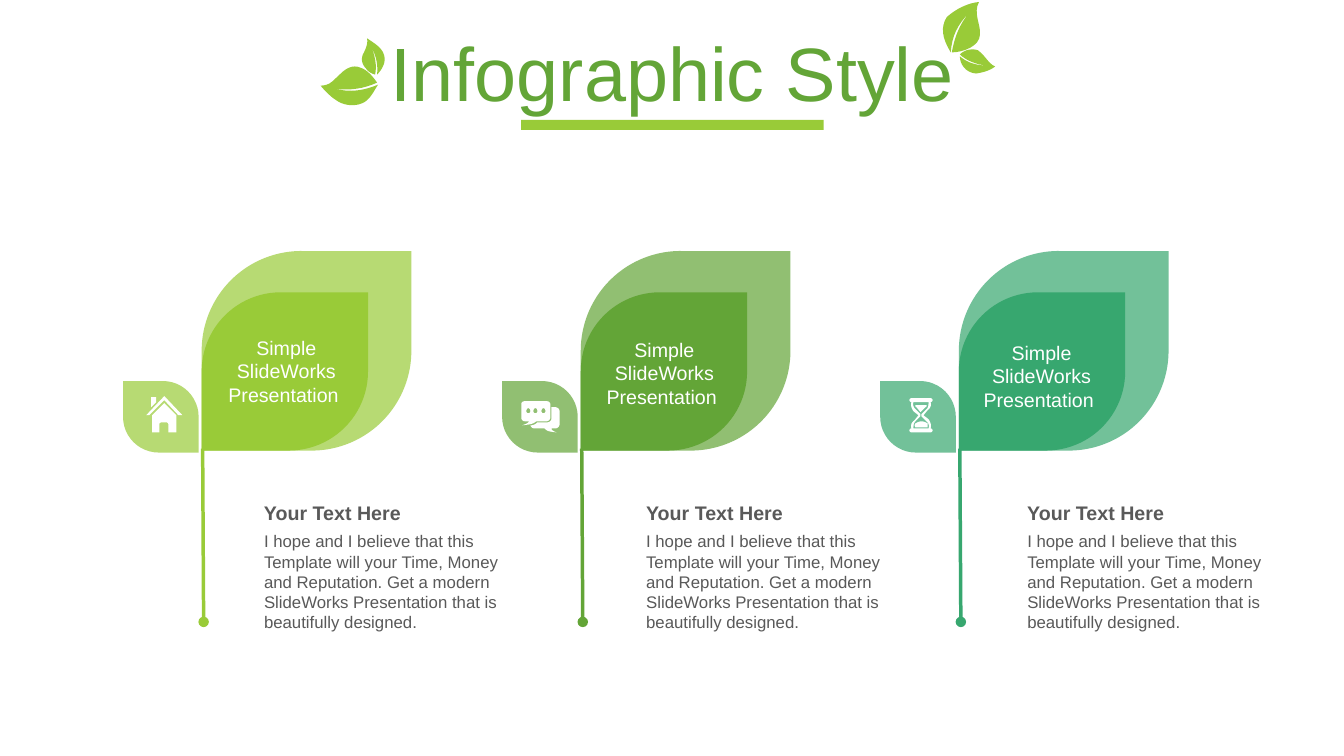
from pptx import Presentation
from pptx.dml.color import RGBColor
from pptx.enum.shapes import MSO_CONNECTOR, MSO_SHAPE
from pptx.enum.text import MSO_ANCHOR, PP_ALIGN
from pptx.oxml.ns import qn
from pptx.util import Inches, Pt
from lxml.etree import SubElement

LIME, GREEN, TEAL = "99CB38", "63A537", "37A76F"
WHITE, GREY = "FFFFFF", "595959"
FONT = "Arial"
LABEL = "Simple SlideWorks Presentation "
HEADING = "Your Text Here"
BODY = ("I hope and I believe that this Template will your Time, Money and "
        "Reputation. Get a modern SlideWorks Presentation that is beautifully designed.")

TITLE_LEAVES = [
    "9.43 .52 C 9.44 .36 9.5 .24 9.61 .13 C 9.52 .24 9.47 .36 9.44 .52 "
    "C 9.55 .52 9.72 .46 9.72 .34 C 9.73 .25 9.65 .13 9.71 .02 "
    "C 9.6 .03 9.48 .09 9.39 .17 C 9.33 .27 9.34 .37 9.43 .52",
    "9.78 .65 C 9.68 .65 9.59 .62 9.52 .56 C 9.52 .63 9.57 .72 9.68 .73 "
    "C 9.75 .72 9.82 .7 9.87 .66 C 9.8 .63 9.78 .56 9.7 .5 "
    "C 9.65 .48 9.57 .49 9.52 .54 C 9.58 .6 9.68 .64 9.78 .65",
    "3.75 .84 C 3.61 .9 3.47 .92 3.32 .88 C 3.47 .9 3.61 .88 3.74 .82 "
    "C 3.7 .76 3.64 .69 3.57 .67 C 3.5 .64 3.43 .68 3.38 .73 "
    "C 3.31 .79 3.28 .85 3.18 .85 C 3.23 .91 3.29 .97 3.36 1.01 "
    "C 3.43 1.05 3.54 1.06 3.62 1.01 C 3.68 .97 3.71 .9 3.75 .84",
    "3.68 .46 C 3.73 .55 3.75 .64 3.74 .74 C 3.79 .69 3.83 .62 3.81 .55 "
    "C 3.79 .47 3.71 .43 3.64 .38 C 3.65 .43 3.63 .48 3.61 .52 "
    "C 3.58 .57 3.58 .63 3.63 .68 C 3.65 .71 3.68 .73 3.72 .74 "
    "C 3.74 .66 3.72 .55 3.68 .46",
]

HOUSE = [
    "1.63 4 L 1.75 4.12 L 1.75 4.29 L 1.67 4.29 L 1.67 4.21 "
    "C 1.67 4.2 1.66 4.19 1.65 4.19 L 1.61 4.19 C 1.59 4.19 1.58 4.2 1.58 4.21 "
    "L 1.58 4.29 L 1.51 4.29 L 1.51 4.12",
    "1.5 3.94 L 1.55 3.94 L 1.55 3.99 L 1.5 4.04",
    "1.63 3.93 L 1.81 4.12 L 1.77 4.12 L 1.63 3.97 L 1.48 4.12 L 1.45 4.12",
]

DOTS = [
    f"{x} 4.05 C {x - .01} 4.05 {x - .02} 4.06 {x - .02} 4.08 "
    f"C {x - .02} 4.09 {x - .01} 4.1 {x} 4.1 C {x + .01} 4.1 {x + .02} 4.09 {x + .02} 4.08 "
    f"C {x + .02} 4.06 {x + .01} 4.05 {x} 4.05" for x in (5.24, 5.31, 5.39)]

CHAT = DOTS + [
    "5.47 4.04 L 5.51 4.04 C 5.53 4.04 5.55 4.06 5.55 4.08 L 5.55 4.21 "
    "C 5.55 4.23 5.53 4.25 5.51 4.25 L 5.47 4.25 C 5.47 4.26 5.47 4.27 5.52 4.29 "
    "C 5.44 4.28 5.43 4.28 5.4 4.25 L 5.3 4.25 C 5.28 4.25 5.27 4.24 5.26 4.22 "
    "C 5.29 4.22 5.31 4.21 5.33 4.19 L 5.43 4.19 C 5.45 4.19 5.47 4.17 5.47 4.15",
    "5.21 3.98 L 5.42 3.98 C 5.44 3.98 5.46 3.99 5.46 4.02 L 5.46 4.14 "
    "C 5.46 4.16 5.44 4.18 5.42 4.18 L 5.32 4.18 C 5.28 4.21 5.26 4.21 5.18 4.22 "
    "C 5.23 4.2 5.23 4.2 5.25 4.18 L 5.21 4.18 C 5.18 4.18 5.17 4.16 5.17 4.14 "
    "L 5.17 4.02 C 5.17 3.99 5.18 3.98 5.21 3.98",
]

HOURGLASS = [
    "9.14 4.18 C 9.16 4.18 9.18 4.19 9.2 4.2 C 9.2 4.21 9.2 4.23 9.2 4.24 "
    "L 9.08 4.24 C 9.07 4.23 9.07 4.21 9.08 4.2 C 9.1 4.19 9.12 4.18 9.14 4.18",
    "9.08 4.02 L 9.19 4.02 C 9.19 4.03 9.19 4.04 9.18 4.04 L 9.13 4.09 "
    "L 9.09 4.04 C 9.08 4.04 9.08 4.03 9.08 4.02",
    "9.06 3.99 C 9.05 4.01 9.06 4.04 9.08 4.06 L 9.13 4.11 L 9.13 4.13 L 9.08 4.18 "
    "C 9.06 4.2 9.06 4.23 9.06 4.25 L 9.21 4.25 C 9.22 4.22 9.21 4.2 9.19 4.18 "
    "L 9.14 4.13 L 9.14 4.11 L 9.19 4.06 C 9.21 4.04 9.21 4.01 9.21 3.99",
    "9.04 3.95 L 9.23 3.95 C 9.24 3.95 9.25 3.96 9.25 3.97 "
    "C 9.25 3.98 9.24 3.99 9.23 3.99 C 9.24 4.02 9.23 4.05 9.2 4.07 L 9.16 4.12 "
    "L 9.21 4.16 C 9.23 4.19 9.24 4.22 9.23 4.25 C 9.24 4.25 9.25 4.26 9.25 4.27 "
    "C 9.25 4.28 9.24 4.29 9.23 4.29 L 9.04 4.29 C 9.03 4.29 9.02 4.28 9.02 4.27 "
    "C 9.02 4.26 9.03 4.25 9.04 4.25 C 9.03 4.22 9.04 4.19 9.07 4.17 L 9.11 4.12 "
    "L 9.06 4.08 C 9.04 4.05 9.03 4.02 9.04 3.99 C 9.03 3.99 9.02 3.98 9.02 3.97 "
    "C 9.02 3.96 9.03 3.95 9.04 3.95",
]

PLANTS = [
    dict(x=2, color=LIME, text_x=2.52, label_x=2.1, label_y=3.28, icon=HOUSE),
    dict(x=5.76, color=GREEN, text_x=6.31, label_x=5.85, label_y=3.3, icon=CHAT),
    dict(x=9.51, color=TEAL, text_x=10.09, label_x=9.59, label_y=3.33, icon=HOURGLASS),
]


def rgb(color):
    """Turn a hex string into a colour."""
    return RGBColor.from_string(color)


def style(sp, color, alpha=None):
    """Give a shape a flat fill, without line or shadow."""
    sp.shadow.inherit = False
    sp.fill.solid()
    sp.fill.fore_color.rgb = rgb(color)
    sp.line.fill.background()
    if alpha:
        clr = sp._element.spPr.find(qn("a:solidFill")).find(qn("a:srgbClr"))
        SubElement(clr, qn("a:alpha"), val=str(alpha * 1000))


def add_box(shapes, kind, x, y, w, h, color, alpha=None, adj=()):
    """Add a filled preset shape."""
    sp = shapes.add_shape(kind, Inches(x), Inches(y), Inches(w), Inches(h))
    for i, value in enumerate(adj):
        sp.adjustments[i] = value
    style(sp, color, alpha)


def add_stem(shapes, x, color):
    """Add a stem line that ends in a dot."""
    ln = shapes.add_connector(MSO_CONNECTOR.STRAIGHT, Inches(x + 0.01), Inches(4.45),
                              Inches(x + 0.02), Inches(6.17))
    ln.line.color.rgb = rgb(color)
    ln.line.width = Pt(2.5)
    spPr = ln._element.spPr
    SubElement(spPr.find(qn("a:ln")), qn("a:tailEnd"), type="oval")
    SubElement(spPr, qn("a:effectLst"))


def contour_points(contour, steps=8):
    """Turn a contour of straight (L) and curved (C) parts into points."""
    pts = []
    for command in contour.replace("L", "|L").replace("C", "|C").split("|"):
        nums = [float(n) for n in command.strip("LC ").split()]
        ends = list(zip(nums[::2], nums[1::2]))
        if command.startswith("C"):
            curve = [pts[-1]] + ends
            for t in (k / steps for k in range(1, steps + 1)):
                weights = ((1 - t) ** 3, 3 * t * (1 - t) ** 2, 3 * t * t * (1 - t), t ** 3)
                pts.append(tuple(sum(w * p[axis] for w, p in zip(weights, curve))
                                 for axis in (0, 1)))
        else:
            pts += ends
    return [(Inches(x), Inches(y)) for x, y in pts]


def add_outline(shapes, contours, color):
    """Add a filled freeform of one or more contours."""
    first, *others = [contour_points(c) for c in contours]
    fb = shapes.build_freeform(*first[0])
    fb.add_line_segments(first[1:])
    for pts in others:
        fb.move_to(*pts[0])
        fb.add_line_segments(pts[1:])
    style(fb.convert_to_shape(), color)


def add_text(shapes, text, x, y, w, h, size, color, bold=False,
             align=PP_ALIGN.LEFT, anchor=MSO_ANCHOR.TOP):
    """Add a wrapped text box and return its paragraph."""
    tf = shapes.add_textbox(Inches(x), Inches(y), Inches(w), Inches(h)).text_frame
    tf.word_wrap = True
    tf.vertical_anchor = anchor
    p = tf.paragraphs[0]
    p.alignment = align
    r = p.add_run()
    r.text = text
    r.font.name, r.font.size, r.font.bold = FONT, Pt(size), bold
    r.font.color.rgb = rgb(color)
    return p


def add_title(shapes):
    """Add the title with its leaves and underline."""
    for leaf in TITLE_LEAVES:
        add_outline(shapes, [leaf], LIME)
    add_box(shapes, MSO_SHAPE.RECTANGLE, 5.17, 1.19, 3, 0.1, LIME)
    p = add_text(shapes, "Infographic Style", 0.34, 0.37, 12.66, 0.79, 54, GREEN,
                 align=PP_ALIGN.CENTER, anchor=MSO_ANCHOR.MIDDLE)
    p.line_spacing = 0.9
    p.space_before = Pt(10)


def add_plant(shapes, x, color, text_x, label_x, label_y, icon):
    """Add one plant with its leaves, stem, icon and texts."""
    leaf = MSO_SHAPE.ROUND_2_DIAG_RECTANGLE
    plant = shapes.add_group_shape().shapes
    add_box(plant, leaf, x, 2.49, 2.08, 1.98, color, 70, (0.5, 0))
    add_box(plant, leaf, x, 2.9, 1.65, 1.57, color, adj=(0.5, 0))
    add_stem(plant, x, color)
    add_box(plant, leaf, x - 0.78, 3.78, 0.75, 0.71, color, 70, (0, 0.5))
    add_text(shapes, BODY, text_x, 5.22, 2.59, 1.11, 12, GREY)
    add_text(shapes, HEADING, text_x, 4.92, 2.56, 0.34, 14, GREY, bold=True)
    add_outline(shapes, icon, WHITE)
    add_text(shapes, LABEL, label_x, label_y, 1.48, 0.81, 14, WHITE, align=PP_ALIGN.CENTER)


def main():
    """Build the slide and save it."""
    prs = Presentation()
    prs.slide_width, prs.slide_height = Inches(13.33), Inches(7.5)
    s = prs.slides.add_slide(prs.slide_layouts[6])
    add_title(s.shapes)
    for plant in PLANTS:
        add_plant(s.shapes, **plant)
    prs.save("out.pptx")


if __name__ == "__main__":
    main()
